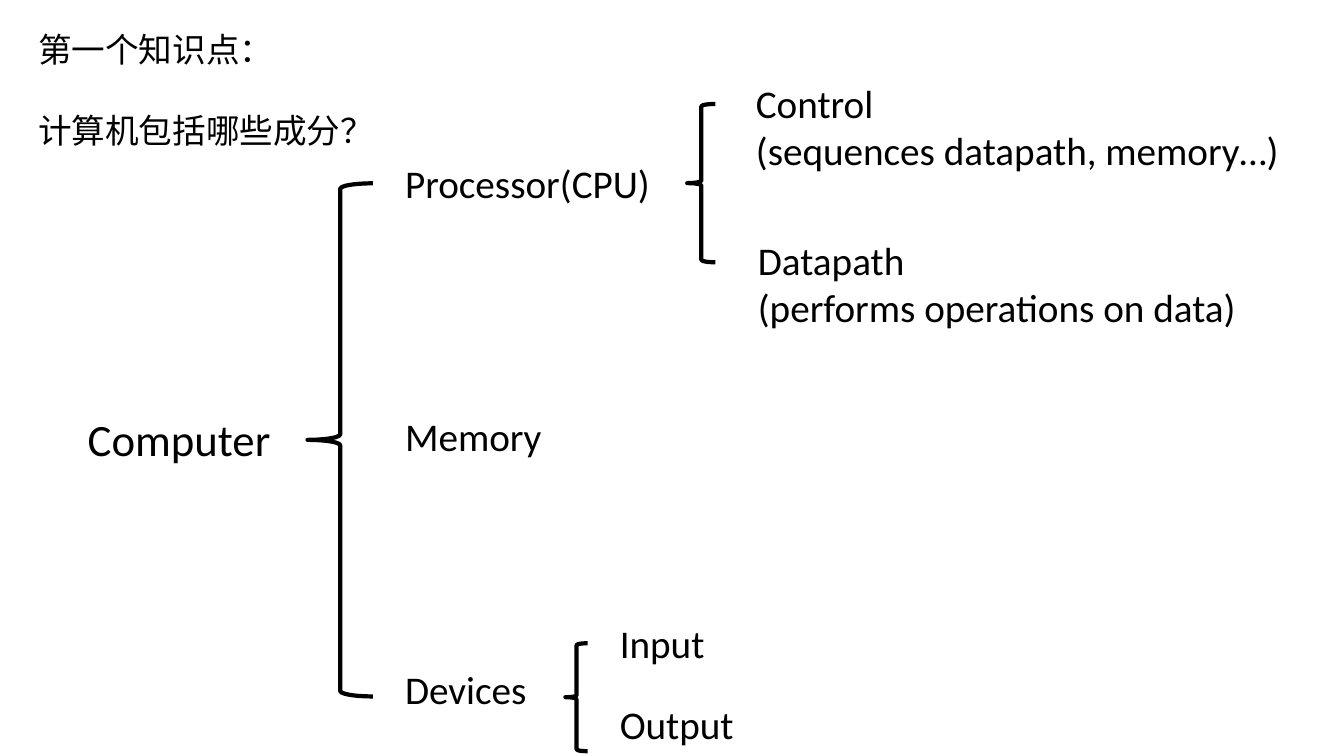
"""Build a slide that breaks a computer down into its components."""
from collections import namedtuple

from lxml import etree
from pptx import Presentation
from pptx.dml.color import RGBColor
from pptx.enum.shapes import MSO_SHAPE
from pptx.oxml.ns import qn
from pptx.util import Cm, Pt

LEFT_BRACE = MSO_SHAPE.LEFT_BRACE
BLACK = RGBColor(0x00, 0x00, 0x00)
LATIN_FONT = "Calibri"
CHINESE_FONT = "Noto Sans CJK SC"
LABEL_HEIGHT = 1.45
PAIR_HEIGHT = 2.64

Box = namedtuple("Box", "left top width height")


def inner(box, left, top, width, height):
    """Return a box placed relative to the corner of another box."""
    return Box(box.left + left, box.top + top, width, height)


def add_text(page, box, lines, size=28, font=LATIN_FONT):
    """Add a text box with one paragraph per line and return its paragraphs."""
    frame = page.shapes.add_textbox(*map(Cm, box)).text_frame
    frame.word_wrap = True
    for number, line in enumerate(lines):
        para = frame.add_paragraph() if number else frame.paragraphs[0]
        span = para.add_run()
        span.text = line
        span.font.name = font
        span.font.size = Pt(size)
        span.font.color.rgb = BLACK
    return frame.paragraphs


def add_brace(page, box):
    """Add a black left brace that fills the box."""
    brace = page.shapes.add_shape(LEFT_BRACE, *map(Cm, box))
    brace.shadow.inherit = False
    brace.fill.background()
    brace.line.color.rgb = BLACK
    brace.line.width = Pt(3)


def add_heading(page, box):
    """Add the Chinese heading and its question."""
    paras = add_text(page, box, ["第一个知识点：", "计算机包括哪些成分？"],
                     size=24, font=CHINESE_FONT)
    for para in paras:
        para.line_spacing = Pt(31)
        for span in para.runs:
            east_asian = etree.SubElement(span.font._element, qn("a:ea"))
            east_asian.set("typeface", CHINESE_FONT)
    paras[1].space_before = Pt(27)


def add_computer(page, box):
    """Add the root label, its brace and the three main components."""
    add_text(page, inner(box, 0, 6.37, 5.79, 1.63), ["Computer"], size=32)
    add_brace(page, inner(box, 5.79, 0.73, 1.65, 12.93))
    components = [("Processor(CPU)", 0, 8.89), ("Memory", 6.37, 4.85),
                  ("Devices", 12.75, 4.85)]
    for name, top, width in components:
        add_text(page, inner(box, 8, top, width, LABEL_HEIGHT), [name])


def add_processor_parts(page, box):
    """Add the brace and the two parts of the processor."""
    add_brace(page, inner(box, 0, 0.74, 0.71, 3.99))
    add_text(page, inner(box, 1.48, 0, 14.35, PAIR_HEIGHT),
             ["Control", "(sequences datapath, memory…)"])
    add_text(page, inner(box, 1.53, 3.94, 13.41, PAIR_HEIGHT),
             ["Datapath", "(performs operations on data)"])


def add_device_kinds(page, box):
    """Add the brace and the two kinds of device."""
    add_brace(page, inner(box, 0, 0.74, 0.56, 2.72))
    for row, name in enumerate(["Input", "Output"]):
        add_text(page, inner(box, 1.12, row * 2.06, 4.57, LABEL_HEIGHT), [name])


def main():
    """Build the deck and save it."""
    deck = Presentation()
    deck.slide_width, deck.slide_height = Cm(33.87), Cm(19.05)
    page = deck.slides.add_slide(deck.slide_layouts[6])
    add_heading(page, Box(0.71, 0.53, 9.75, 3.33))
    add_computer(page, Box(1.96, 3.89, 16.89, 14.2))
    add_processor_parts(page, Box(17.32, 1.88, 15.83, 6.58))
    add_device_kinds(page, Box(14.25, 15.47, 5.69, 3.51))
    deck.save("out.pptx")


if __name__ == "__main__":
    main()
